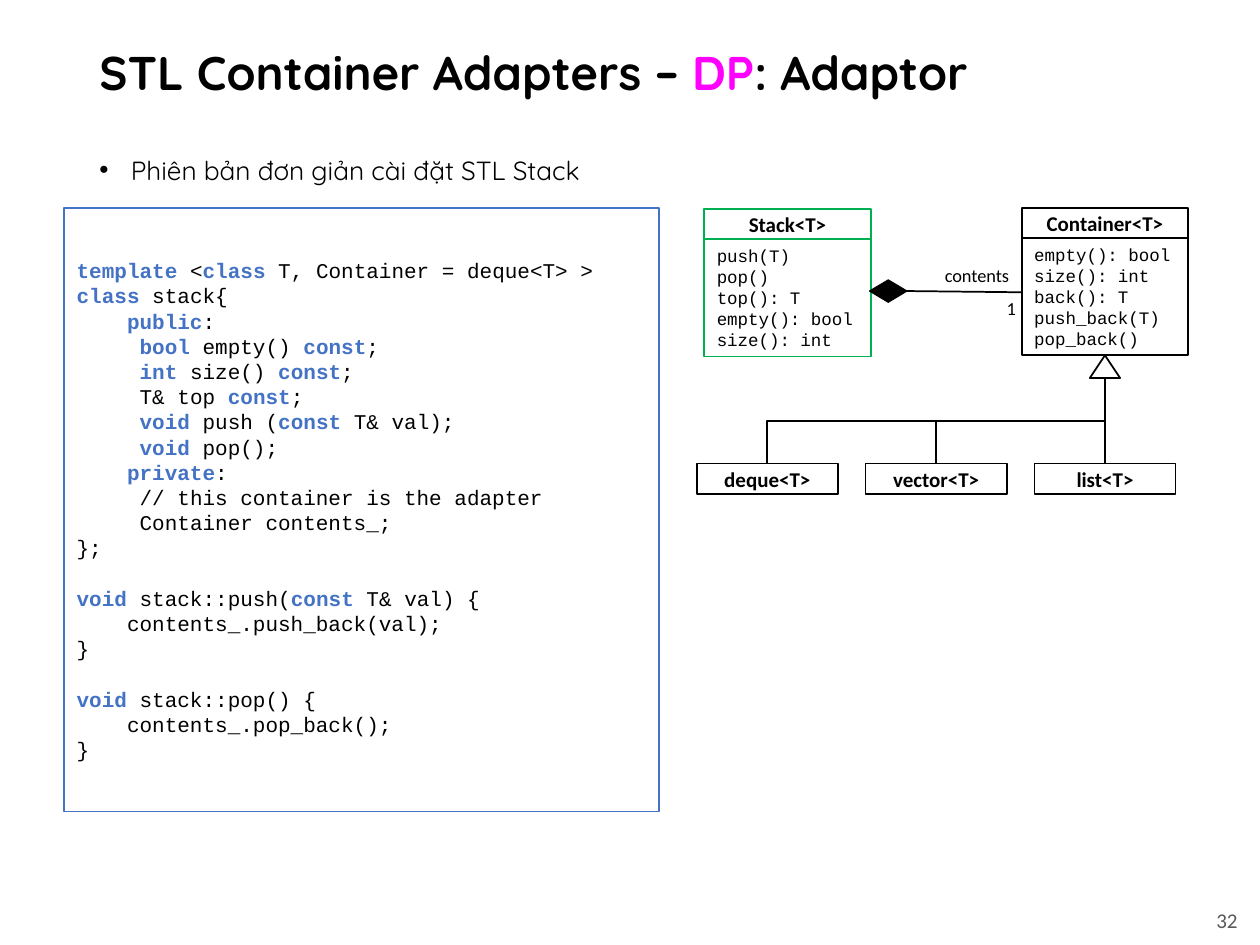
from dataclasses import dataclass
from pptx import Presentation, util as u
from pptx.dml.color import RGBColor
from pptx.enum import shapes, text
from pptx.oxml.ns import qn
from lxml import etree

I = u.Inches
KIND = shapes.MSO_SHAPE
LINK = shapes.MSO_CONNECTOR
MID = text.MSO_ANCHOR.MIDDLE
MARK = "*"  # text between two marks is accented


@dataclass(frozen=True)
class Theme:
    black: str = "000000"
    white: str = "FFFFFF"
    blue: str = "4472C4"
    green: str = "00B050"
    pink: str = "FF00FF"
    gray: str = "595959"
    head: str = "Quicksand"
    body: str = "Calibri"
    code: str = "Courier New"
    title: float = 27
    lead: float = 15
    main: float = 12
    note: float = 10.5
    small: float = 10


T = Theme()

# Code blocks: each line is (indent in inches, text)
CODE = [
    [(0, "*template* <*class* T, Container = deque<T> >"),
     (0, "*class* stack{"),
     (0.4, "*public*:"),
     (0.5, "*bool* empty() *const*;"),
     (0.5, "*int* size() *const*;"),
     (0.5, "T& top *const*;"),
     (0.5, "*void* push (*const* T& val);"),
     (0.5, "*void* pop();"),
     (0.4, "*private*:"),
     (0.5, "// this container is the adapter"),
     (0.5, "Container contents_;"),
     (0, "};")],
    [(0, "*void* stack::push(*const* T& val) {"),
     (0.4, "contents_.push_back(val);"),
     (0, "}")],
    [(0, "*void* stack::pop() {"),
     (0.4, "contents_.pop_back();"),
     (0, "}")],
]


def rgb(code):
    return RGBColor.from_string(code)


def write(frame, words, size=T.main, font=T.body, color=T.black, bold=False,
          accent=T.blue, align="LEFT", indent=0, space=None, before=0):
    """Add one paragraph, using the first one while it is still empty."""
    para = frame.paragraphs[-1]
    if para.runs:
        para = frame.add_paragraph()
    para.alignment = getattr(text.PP_ALIGN, align)
    para.space_before = u.Pt(before)
    if space:
        para.line_spacing = space
    if indent:
        para._p.get_or_add_pPr().set("marL", str(I(indent)))
    for n, part in enumerate(words.split(MARK)):
        if part:
            run = para.add_run()
            run.text = part
            run.font.size, run.font.name = u.Pt(size), font
            run.font.bold = bold or n % 2 == 1
            run.font.color.rgb = rgb(accent if n % 2 else color)
    return para


def label(slide, box, words, anchor=text.MSO_ANCHOR.TOP, wrap=True, **form):
    frame = slide.shapes.add_textbox(*map(I, box)).text_frame
    frame.word_wrap, frame.vertical_anchor = wrap, anchor
    return write(frame, words, **form)


def shape(slide, kind, box, line=T.black, fill=T.white, width=1):
    item = slide.shapes.add_shape(kind, *map(I, box))
    item.shadow.inherit = False
    item.fill.solid()
    item.fill.fore_color.rgb = rgb(fill)
    item.line.color.rgb = rgb(line)
    item.line.width = u.Pt(width)
    item.text_frame.word_wrap = True
    item.text_frame.vertical_anchor = MID
    return item


def line(slide, start, end, kind=LINK.STRAIGHT):
    item = slide.shapes.add_connector(kind, *map(I, start + end))
    item.line.color.rgb = rgb(T.black)
    item.line.width = u.Pt(1)
    etree.SubElement(item._element.spPr, qn("a:effectLst"))
    return item


def elbow(slide, start, end):
    """Bent line that leaves downwards and ends lower left: a quarter turn."""
    wide, high = start[0] - end[0], end[1] - start[1]
    x, y = (start[0] + end[0]) / 2, (start[1] + end[1]) / 2
    item = line(slide, (x - high / 2, y - wide / 2),
                (x + high / 2, y + wide / 2), LINK.ELBOW)
    item._element.spPr.xfrm.set("rot", "5400000")


def name_box(slide, box, name, color=T.black):
    item = shape(slide, KIND.RECTANGLE, box, color)
    write(item.text_frame, name, bold=True, align="CENTER")
    return item


def class_box(slide, x, y, name, members, color=T.black):
    name_box(slide, (x, y, 1.32, 0.24), name, color)
    body = shape(slide, KIND.RECTANGLE, (x, y + 0.24, 1.32, 0.93), color)
    for member in members:
        write(body.text_frame, member, T.small, T.code)


def heading(slide):
    label(slide, (0.69, 0.16, 8.62, 0.87),
          "STL Container Adapters – *DP*: Adaptor", MID, size=T.title,
          font=T.head, bold=True, accent=T.pink, space=0.9)
    lead = label(slide, (0.69, 1.2, 8.62, 5.45),
                 "Phiên bản đơn giản cài đặt STL Stack", size=T.lead,
                 font=T.head, indent=0.25, space=0.9)
    props = lead._p.get_or_add_pPr()
    props.set("indent", str(-I(0.25)))
    etree.SubElement(props, qn("a:buFont")).set("typeface", "Arial")
    etree.SubElement(props, qn("a:buChar")).set("char", "•")


def listing(slide):
    box = shape(slide, KIND.RECTANGLE, (0.51, 1.65, 4.72, 4.79), T.blue)
    for b, block in enumerate(CODE):
        for n, (indent, words) in enumerate(block):
            gap = 14.4 if b and not n else 0
            write(box.text_frame, words, font=T.code, indent=indent,
                  before=gap)


def diagram(slide):
    # Stack holds a container
    class_box(slide, 5.59, 1.66, "Stack<T>",
              ["push(T)", "pop()", "top(): T", "empty(): bool",
               "size(): int"], T.green)
    class_box(slide, 8.11, 1.65, "Container<T>",
              ["empty(): bool", "size(): int", "back(): T", "push_back(T)",
               "pop_back()"])
    shape(slide, KIND.DIAMOND, (6.9, 2.22, 0.3, 0.18), fill=T.black,
          width=0.5)
    line(slide, (7.2, 2.31), (8.11, 2.32))
    label(slide, (7.4, 2.05, 0.71, 0.45), "contents", wrap=False,
          size=T.note)
    label(slide, (7.89, 2.31, 0.3, 0.28), "1", wrap=False, size=T.note)

    # Kinds of container, joined to the triangle
    shape(slide, KIND.ISOSCELES_TRIANGLE, (8.65, 2.82, 0.24, 0.18))
    root, top, wide = (8.77, 3), 3.68, 1.12
    for n, name in enumerate(["deque<T>", "vector<T>", "list<T>"]):
        left = 5.53 + n * 1.34
        box = name_box(slide, (left, top, wide, 0.24), name)
        end = (left + wide / 2, top)
        if name == "list<T>":
            line(slide, root, end).end_connect(box, 0)
        else:
            elbow(slide, root, end)


def main():
    deck = Presentation()
    deck.slide_width, deck.slide_height = I(10), I(7.5)
    slide = deck.slides.add_slide(deck.slide_layouts[6])
    heading(slide)
    listing(slide)
    diagram(slide)
    # Page number
    label(slide, (8.67, 7.1, 1.25, 0.4), "32", MID, color=T.gray,
          align="RIGHT")
    deck.save("out.pptx")


if __name__ == "__main__":
    main()
